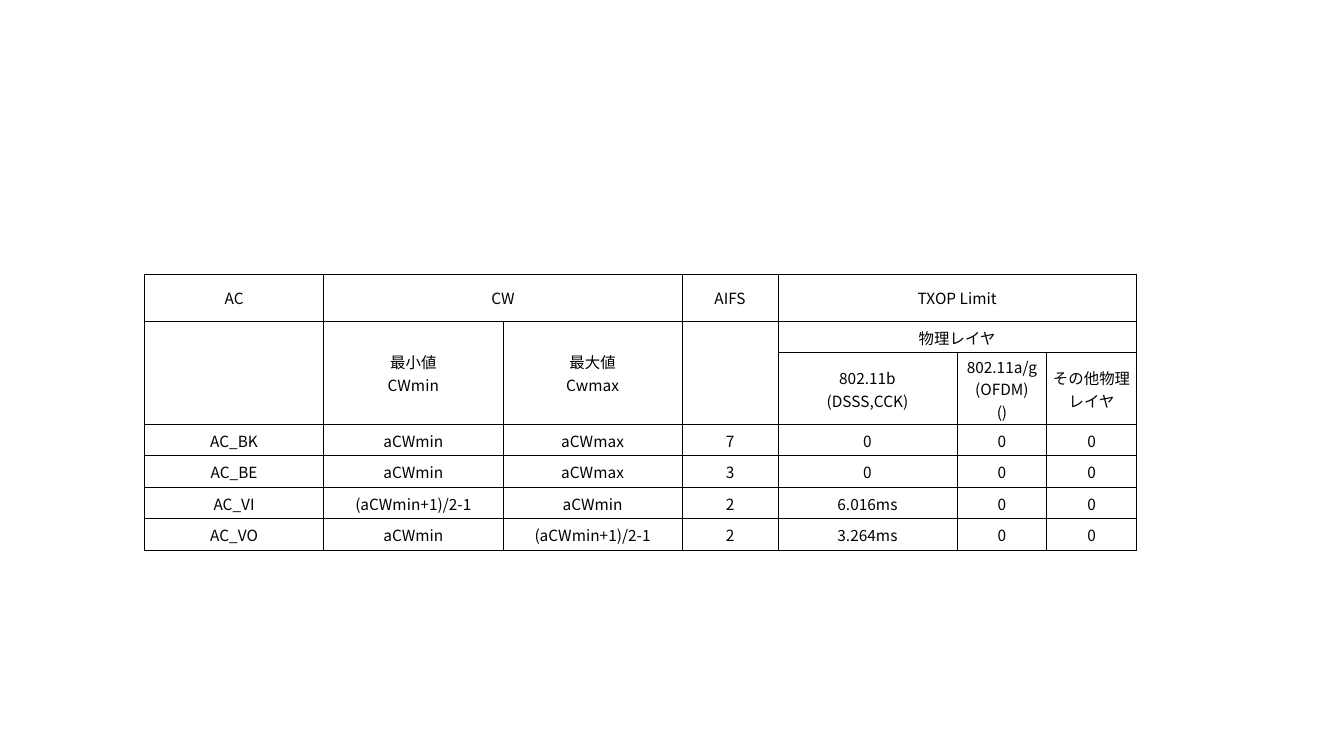
"""Build a slide with the table of EDCA access category parameters."""
import pptx
import pptx.dml.color
import pptx.enum.text
import pptx.oxml.ns
import pptx.util
from lxml import etree

Cm = pptx.util.Cm
BLACK = pptx.dml.color.RGBColor(0, 0, 0)
FONT = "Noto Sans CJK JP"
TEXT_SIZE = pptx.util.Pt(11)
BORDER_WIDTH = pptx.util.Pt(0.5)

COLUMN_SHARES = [4.52, 4.52, 4.52, 2.41, 4.52, 2.26, 2.26]
ROW_SHARES = [1.19, 0.79, 1.8, 0.79, 0.79, 0.79, 0.79]
PARAMETERS = [
    ["AC", "CW", "", "AIFS", "TXOP Limit", "", ""],
    ["", "最小値\nCWmin", "最大値\nCwmax", "", "物理レイヤ", "", ""],
    ["", "", "", "", "802.11b\n(DSSS,CCK)", "802.11a/g\n(OFDM)\n()", "その他物理レイヤ"],
    ["AC_BK", "aCWmin", "aCWmax", "7", "0", "0", "0"],
    ["AC_BE", "aCWmin", "aCWmax", "3", "0", "0", "0"],
    ["AC_VI", "(aCWmin+1)/2-1", "aCWmin", "2", "6.016ms", "0", "0"],
    ["AC_VO", "aCWmin", "(aCWmin+1)/2-1", "2", "3.264ms", "0", "0"],
]
HEADER_SPANS = [((0, 1), (0, 2)), ((0, 4), (0, 6)), ((1, 4), (1, 6))]
HEADER_SPANS += [((1, column), (2, column)) for column in range(4)]


def add_child(parent, tag, **attributes):
    """Append a DrawingML element to its parent."""
    return etree.SubElement(parent, pptx.oxml.ns.qn(tag), attributes)


def draw_borders(cell):
    """Give a cell thin black lines on its four sides and no fill."""
    properties = cell._tc.get_or_add_tcPr()
    for side in ("a:lnL", "a:lnR", "a:lnT", "a:lnB"):
        line = add_child(properties, side, w=str(BORDER_WIDTH))
        add_child(add_child(line, "a:solidFill"), "a:srgbClr", val=str(BLACK))
    cell.fill.background()


def write_cell(cell, wording):
    """Write centred wording, with one run for each line."""
    cell.margin_left = cell.margin_right = cell.margin_top = Cm(0.03)
    cell.margin_bottom = 0
    cell.vertical_anchor = pptx.enum.text.MSO_ANCHOR.MIDDLE
    paragraph = cell.text_frame.paragraphs[0]
    paragraph.alignment = pptx.enum.text.PP_ALIGN.CENTER
    if not wording:
        add_child(paragraph._p, "a:endParaRPr", sz=str(int(TEXT_SIZE.pt * 100)))
        return
    for number, words in enumerate(wording.split("\n")):
        if number:
            paragraph.add_line_break()
        run = paragraph.add_run()
        run.text = words
        run.font.size = TEXT_SIZE
        run.font.name = FONT
        run.font.color.rgb = BLACK
        add_child(run._r.get_or_add_rPr(), "a:ea", typeface=FONT)


def add_parameter_table(slide, left, top, width, height):
    """Place the parameter table in the given box."""
    frame = slide.shapes.add_table(
        len(ROW_SHARES), len(COLUMN_SHARES), left, top, width, height)
    table = frame.table
    table.first_row = table.horz_banding = False
    for column, share in zip(table.columns, COLUMN_SHARES):
        column.width = int(width * share / sum(COLUMN_SHARES))
    for row, share in zip(table.rows, ROW_SHARES):
        row.height = int(height * share / sum(ROW_SHARES))
    for row, wordings in zip(table.rows, PARAMETERS):
        for cell, wording in zip(row.cells, wordings):
            write_cell(cell, wording)
            draw_borders(cell)
    for first, last in HEADER_SPANS:
        table.cell(*first).merge(table.cell(*last))


def main():
    """Build and save the presentation."""
    presentation = pptx.Presentation()
    presentation.slide_width = Cm(33.87)
    presentation.slide_height = Cm(19.05)
    slide = presentation.slides.add_slide(presentation.slide_layouts[6])
    add_parameter_table(slide, Cm(3.64), Cm(6.9), Cm(25), Cm(6.96))
    presentation.save("out.pptx")


if __name__ == "__main__":
    main()
